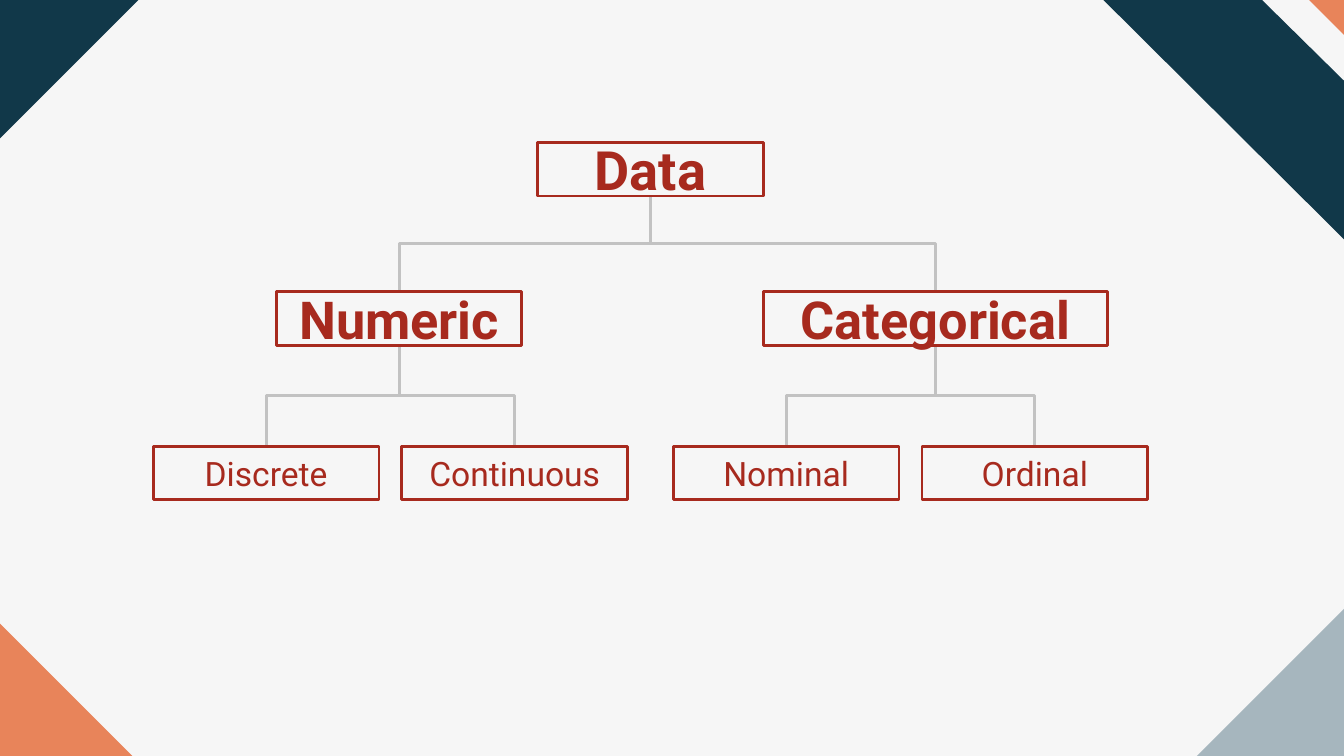
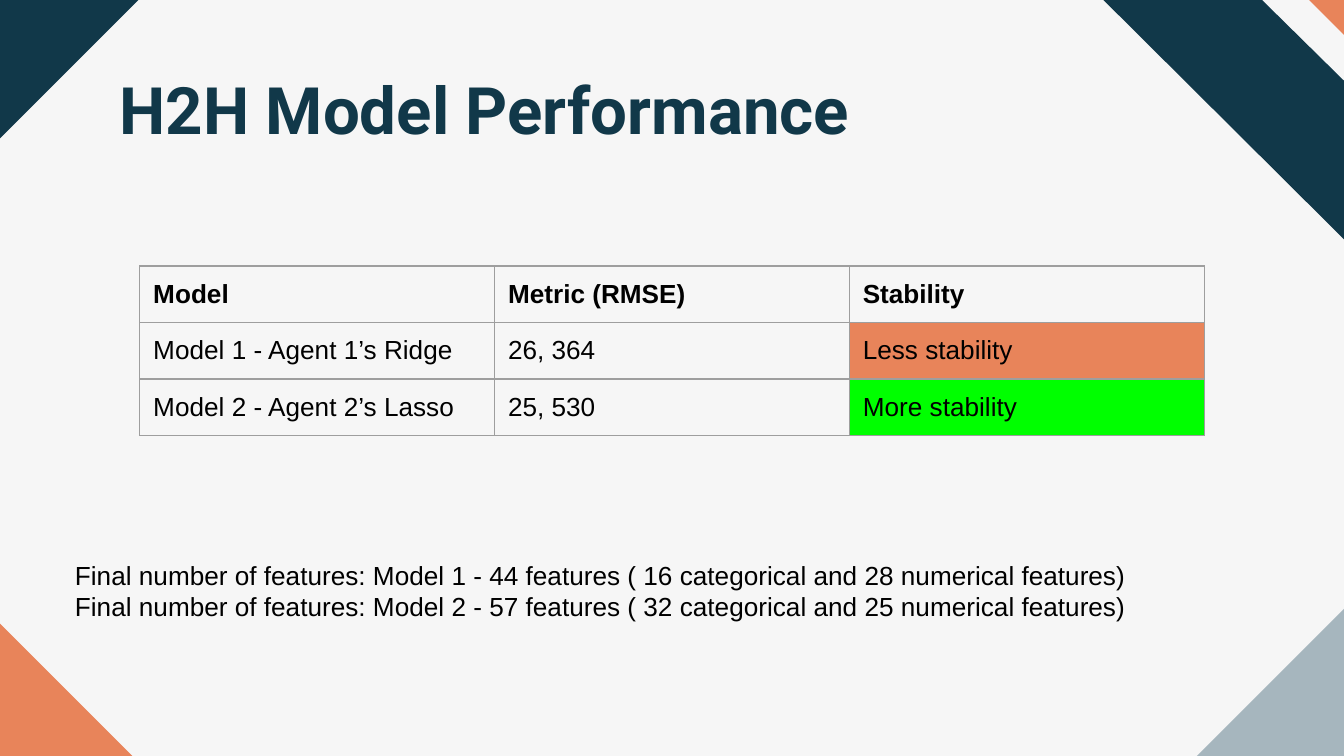
from dataclasses import dataclass
from lxml.etree import SubElement
from pptx import Presentation
from pptx.dml.color import RGBColor as Color
from pptx.enum.shapes import MSO_CONNECTOR as Connector, MSO_SHAPE as Preset
from pptx.enum.text import MSO_ANCHOR as Anchor, MSO_AUTO_SIZE as AutoSize, PP_ALIGN as Align
from pptx.oxml.ns import qn
from pptx.util import Inches, Pt


@dataclass(frozen=True)
class Theme:
    paper: str = "F6F6F6"
    navy: str = "113849"
    orange: str = "E8845A"
    slate: str = "A6B6BE"
    red: str = "A72A1E"
    branch: str = "C2C2C2"
    grid: str = "9E9E9E"
    green: str = "00FF00"
    black: str = "000000"
    display: str = "Roboto"
    plain: str = "Arial"
    title_size: int = 35
    root_size: int = 29
    group_size: int = 28
    leaf_size: int = 18
    text_size: int = 14
    line_width: float = 1.5
    border_width: float = 0.75
    inset: float = 0.1


THEME = Theme()
WIDTH = Inches(10)
HEIGHT = WIDTH * 9 // 16

CORNER_BANDS = [
    (THEME.slate, [(11.18, 5.7), (10.01, 4.52), (8.83, 5.7)]),
    (THEME.navy, [
        (8.19, -0.02), (10.05, 1.83), (10.69, 1.19), (10.69, 0.01), (10.05, 0.65), (9.37, -0.02),
    ]),
    (THEME.orange, [(9.72, -0.02), (10.04, 0.3), (10.36, -0.02)]),
    (THEME.navy, [
        (1.05, -0.02), (-2.44, 3.47), (-3.65, 2.26), (-3.65, 0.03), (-2.44, 1.24), (-1.18, -0.02),
    ]),
    (THEME.orange, [
        (1.05, 5.69), (-1.78, 2.86), (-2.75, 3.84), (-2.75, 5.64), (-1.78, 4.66), (-0.75, 5.69),
    ]),
]

ROOT = ("Data", 4.0, 1.68)
GROUPS = [
    ("Numeric", 2.06, 1.82, 1.14, ["Discrete", "Continuous"]),
    ("Categorical", 5.68, 2.56, 5.01, ["Nominal", "Ordinal"]),
]
LEVEL_TOPS = [1.06, 2.17, 3.32]
LEVEL_SIZES = [THEME.root_size, THEME.group_size, THEME.leaf_size]
BOX_HEIGHT = 0.4
LEAF_WIDTH = 1.68
LEAF_STEP = 1.85

TITLE = "H2H Model Performance"
MODEL_ROWS = [
    ("Model", "Metric (RMSE)", "Stability"),
    ("Model 1 - Agent 1’s Ridge", "26, 364", "Less stability"),
    ("Model 2 - Agent 2’s Lasso", "25, 530", "More stability"),
]
STABILITY_FILLS = {(1, 2): THEME.orange, (2, 2): THEME.green}
COLUMN_WIDTH = 2.64
ROW_HEIGHT = 0.42
FEATURE_NOTES = [
    "Final number of features: Model 1 - 44 features ( 16 categorical and 28 numerical features)",
    "Final number of features: Model 2 - 57 features ( 32 categorical and 25 numerical features)",
]


def assign(target, values):
    for name, value in values.items():
        setattr(target, name, value)


def paint(fill, color):
    fill.solid()
    fill.fore_color.rgb = Color.from_string(color)


def insets():
    return {f"margin_{side}": Inches(THEME.inset) for side in ("left", "top", "right", "bottom")}


def write(frame, lines, font, size, color, bold=False, align=Align.LEFT):
    frame.text = "\n".join(lines)
    for paragraph in frame.paragraphs:
        paragraph.alignment = align
        assign(paragraph.font, {"name": font, "size": Pt(size), "bold": bold})
        paragraph.font.color.rgb = Color.from_string(color)


def draw_corner_band(slide, master, color, outline):
    points = [(Inches(x), Inches(y)) for x, y in outline]
    builder = slide.shapes.build_freeform(*points[0])
    builder.add_line_segments(points[1:], close=True)
    band = builder.convert_to_shape()
    band.shadow.inherit = False
    paint(band.fill, color)
    band.line.fill.background()
    master.shapes.element.append(band.element)


def draw_box(slide, text, left, width, level):
    box = slide.shapes.add_shape(
        Preset.RECTANGLE, Inches(left), Inches(LEVEL_TOPS[level]), Inches(width), Inches(BOX_HEIGHT)
    )
    box.shadow.inherit = False
    box.fill.background()
    box.line.width = Pt(THEME.line_width)
    paint(box.line.fill, THEME.red)
    frame = box.text_frame
    assign(frame, {"word_wrap": True, "vertical_anchor": Anchor.MIDDLE, **insets()})
    write(frame, [text], THEME.display, LEVEL_SIZES[level], THEME.red, level < 2, Align.CENTER)
    return box


def draw_branch(slide, parent, child):
    start_x, start_y = parent.left + parent.width // 2, parent.top + parent.height
    end_x, end_y = child.left + child.width // 2, child.top
    rise, run = end_y - start_y, abs(end_x - start_x)
    rightward = end_x > start_x
    branch = slide.shapes.add_connector(Connector.ELBOW, start_x, start_y, end_x, end_y)
    branch.begin_connect(parent, 2)
    branch.end_connect(child, 0)
    assign(branch, {
        "left": (start_x + end_x - rise) // 2,
        "top": (start_y + end_y - run) // 2,
        "width": rise,
        "height": run,
    })
    assign(branch.element.spPr.xfrm, {
        "rot": 270.0 if rightward else 90.0, "flipH": rightward, "flipV": False,
    })
    branch.line.width = Pt(THEME.line_width)
    paint(branch.line.fill, THEME.branch)
    SubElement(branch.element.spPr, qn("a:effectLst"))
    slide.shapes.element.insert(2, branch.element)


def draw_borders(cell):
    properties = cell._tc.get_or_add_tcPr()
    for side in ("lnL", "lnR", "lnT", "lnB"):
        line = SubElement(properties, qn(f"a:{side}"), w=str(Pt(THEME.border_width)))
        solid = SubElement(line, qn("a:solidFill"))
        SubElement(solid, qn("a:srgbClr"), val=THEME.grid)


def build_data_types(slide):
    root = draw_box(slide, *ROOT, 0)
    for name, left, width, leaves_left, leaves in GROUPS:
        group = draw_box(slide, name, left, width, 1)
        draw_branch(slide, root, group)
        for index, leaf_name in enumerate(leaves):
            leaf = draw_box(slide, leaf_name, leaves_left + index * LEAF_STEP, LEAF_WIDTH, 2)
            draw_branch(slide, group, leaf)


def build_model_table(slide):
    row_count, column_count = len(MODEL_ROWS), len(MODEL_ROWS[0])
    table = slide.shapes.add_table(
        row_count, column_count, Inches(1.04), Inches(1.98),
        Inches(COLUMN_WIDTH * column_count), Inches(ROW_HEIGHT * row_count),
    ).table
    assign(table, {"first_row": False, "horz_banding": False})
    for row, texts in enumerate(MODEL_ROWS):
        for column, text in enumerate(texts):
            cell = table.cell(row, column)
            assign(cell, insets())
            write(cell.text_frame, [text], THEME.plain, THEME.text_size, THEME.black, row == 0)
            draw_borders(cell)
            if (row, column) in STABILITY_FILLS:
                paint(cell.fill, STABILITY_FILLS[row, column])
            else:
                cell.fill.background()


def build_performance(slide):
    title = slide.shapes.title
    assign(title, {
        "left": Inches(0.79), "top": Inches(0.49), "width": Inches(8.43), "height": Inches(0.63),
    })
    assign(title.text_frame, {
        "word_wrap": True, "auto_size": AutoSize.NONE, "vertical_anchor": Anchor.MIDDLE, **insets(),
    })
    write(title.text_frame, [TITLE], THEME.display, THEME.title_size, THEME.navy, True)
    build_model_table(slide)
    notes = slide.shapes.add_textbox(Inches(0.46), Inches(4.06), Inches(8.23), Inches(0.67))
    assign(notes.text_frame, {
        "word_wrap": True, "auto_size": AutoSize.SHAPE_TO_FIT_TEXT, **insets(),
    })
    write(notes.text_frame, FEATURE_NOTES, THEME.plain, THEME.text_size, THEME.black)


def main():
    presentation = Presentation()
    assign(presentation, {"slide_width": WIDTH, "slide_height": HEIGHT})
    master = presentation.slide_master
    paint(master.background.fill, THEME.paper)
    title_only, blank = presentation.slide_layouts[5], presentation.slide_layouts[6]
    data_types = presentation.slides.add_slide(blank)
    for color, outline in CORNER_BANDS:
        draw_corner_band(data_types, master, color, outline)
    build_data_types(data_types)
    build_performance(presentation.slides.add_slide(title_only))
    presentation.save("out.pptx")


if __name__ == "__main__":
    main()
